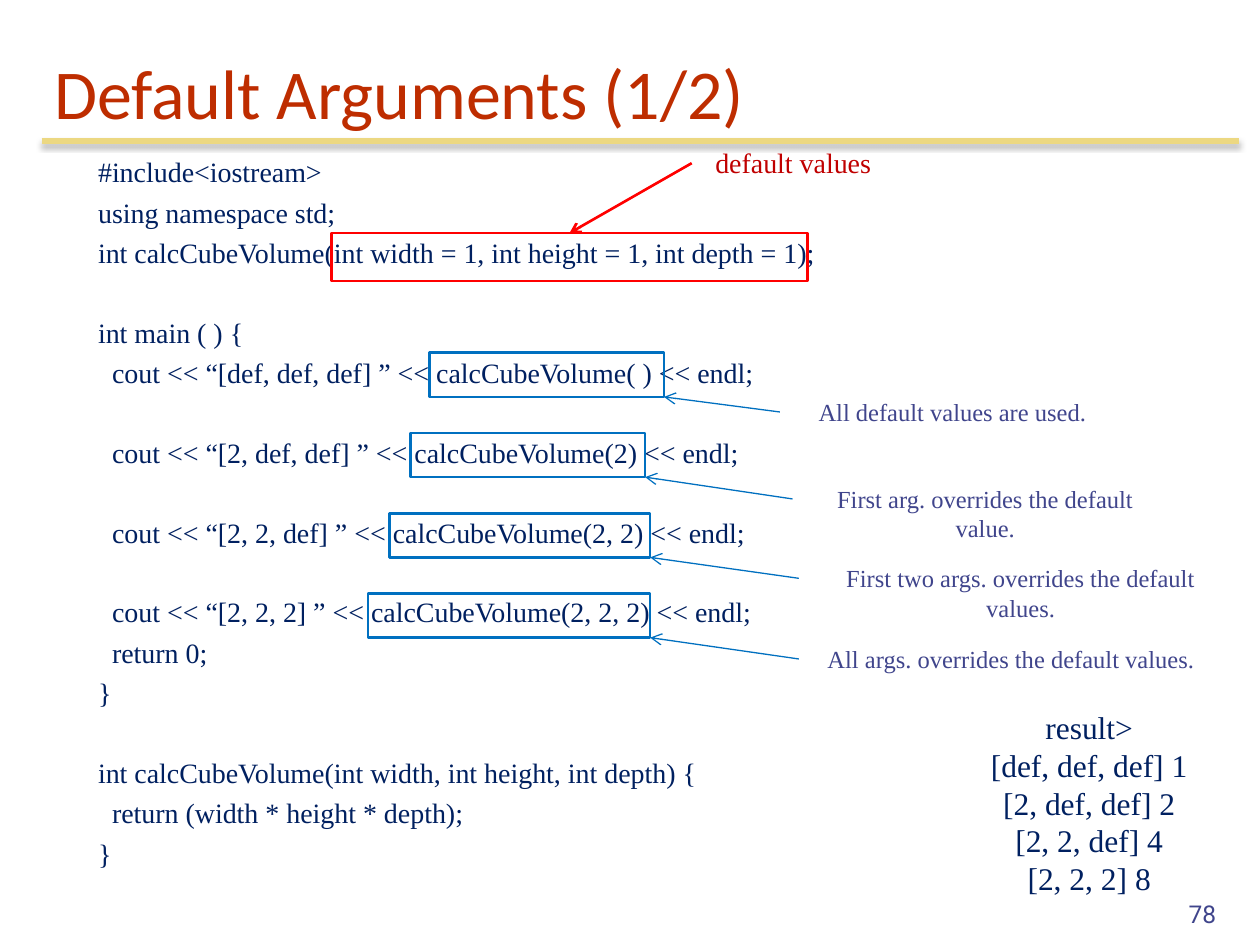
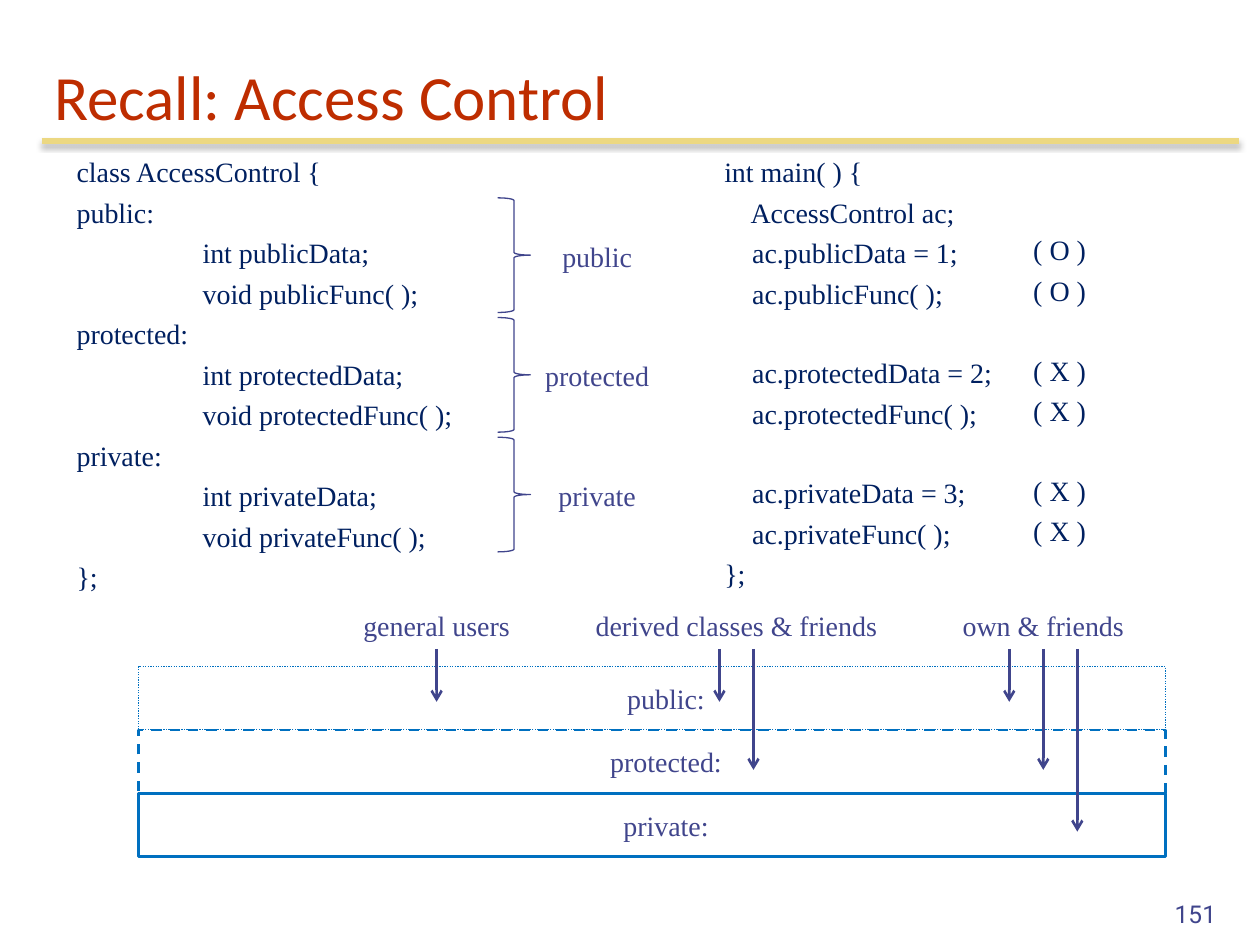
from lxml import etree
from pptx import Presentation
from pptx.dml.color import RGBColor
from pptx.enum.dml import MSO_LINE_DASH_STYLE as DASH
from pptx.enum.shapes import MSO_CONNECTOR, MSO_SHAPE as SHAPE
from pptx.enum.text import MSO_ANCHOR as ANCHOR, MSO_AUTO_SIZE, PP_ALIGN as ALIGN
from pptx.oxml.ns import qn
from pptx.util import Inches, Pt

NAVY = RGBColor(0x00, 0x20, 0x60)
INDIGO = RGBColor(0x40, 0x45, 0x8C)
BLUE = RGBColor(0x00, 0x70, 0xC0)
RED = RGBColor(0xFF, 0x00, 0x00)
DARK_RED = RGBColor(0xC0, 0x00, 0x00)
RUST = RGBColor(0xBE, 0x2D, 0x00)
GOLD = RGBColor(0xEC, 0xD8, 0x82)

SERIF = "Times New Roman"
LINE_GAP = 3.95    # points between code lines
LINE_PITCH = 22.35  # points from one code line to the next

CUBE_CODE = """#include<iostream>
using namespace std;
int calcCubeVolume(int width = 1, int height = 1, int depth = 1);

int main ( ) {
  cout << “[def, def, def] ” << calcCubeVolume( ) << endl;

  cout << “[2, def, def] ” << calcCubeVolume(2) << endl;

  cout << “[2, 2, def] ” << calcCubeVolume(2, 2) << endl;

  cout << “[2, 2, 2] ” << calcCubeVolume(2, 2, 2) << endl;
  return 0;
}

int calcCubeVolume(int width, int height, int depth) {
  return (width * height * depth);
}"""

RESULT = """result>
[def, def, def] 1
[2, def, def] 2
[2, 2, def] 4
[2, 2, 2] 8"""

CLASS_CODE = """class AccessControl {
public:
\tint publicData;
\tvoid publicFunc( );
protected:
\tint protectedData;
\tvoid protectedFunc( );
private:
\tint privateData;
\tvoid privateFunc( );
};"""

MAIN_CODE = """int main( ) {
    AccessControl ac;
    ac.publicData = 1;
    ac.publicFunc( );

    ac.protectedData = 2;
    ac.protectedFunc( );

    ac.privateData = 3;
    ac.privateFunc( );
};"""

ACCESS_MARKS = """( O )
( O )

( X )
( X )

( X )
( X )"""


def inches(*lengths):
    return [Inches(length) for length in lengths]


def add_run(paragraph, text, size, color, font=SERIF):
    run = paragraph.add_run()
    run.text = text
    run.font.name = font
    run.font.size = Pt(size)
    run.font.color.rgb = color


def add_text(slide, box, text, size=16, color=INDIGO, align=ALIGN.CENTER,
             gap=0, font=SERIF, anchor=ANCHOR.TOP):
    """Text box; an empty line in text becomes space before the next line."""
    text_box = slide.shapes.add_textbox(*inches(*box))
    frame = text_box.text_frame
    frame.word_wrap = True
    frame.vertical_anchor = anchor
    before = 0
    for index, line in enumerate(text.split("\n")):
        if not line:
            before += LINE_PITCH
            continue
        paragraph = frame.add_paragraph() if index else frame.paragraphs[0]
        if "\t" in line:
            tabs = etree.SubElement(paragraph._p.get_or_add_pPr(), qn("a:tabLst"))
            etree.SubElement(tabs, qn("a:tab"), pos=str(Inches(1)), algn="l")
        paragraph.alignment = align
        paragraph.space_before = Pt(before)
        add_run(paragraph, line, size, color, font)
        before = gap
    return text_box


def add_code(slide, box, code, align=ALIGN.LEFT):
    return add_text(slide, box, code, color=NAVY, align=align, gap=LINE_GAP)


def add_outline(slide, kind, box, color, width=1.5, dash=None):
    outline = slide.shapes.add_shape(kind, *inches(*box))
    outline.shadow.inherit = False
    outline.fill.background()
    outline.line.color.rgb = color
    outline.line.width = Pt(width)
    if dash:
        outline.line.dash_style = dash
    return outline


def add_line(slide, start, end, color, width):
    """Straight line and its empty effect list."""
    line = slide.shapes.add_connector(MSO_CONNECTOR.STRAIGHT, *inches(*start, *end))
    line.line.color.rgb = color
    line.line.width = Pt(width)
    effects = etree.SubElement(line.element.spPr, qn("a:effectLst"))
    return line, effects


def add_arrow(slide, start, end, color, width):
    arrow, _ = add_line(slide, start, end, color, width)
    outline = arrow.element.spPr.find(qn("a:ln"))
    etree.SubElement(outline, qn("a:tailEnd"), type="arrow")
    return arrow


def add_title_rule(slide):
    _, effects = add_line(slide, (0.33, 1.12), (9.83, 1.12), GOLD, 3)
    shadow = etree.SubElement(effects, qn("a:outerShdw"), blurRad=str(Pt(3.1)),
                              dist=str(Pt(1.8)), dir="5400000", rotWithShape="0")
    black = etree.SubElement(shadow, qn("a:srgbClr"), val="000000")
    etree.SubElement(black, qn("a:alpha"), val="35000")


def start_slide(prs, heading, size, number):
    """Title, gold rule and page number."""
    slide = prs.slides.add_slide(prs.slide_layouts[5])
    add_title_rule(slide)
    title = slide.shapes.title
    title.left, title.top, title.width, title.height = inches(0.33, 0.33, 9.5, 0.78)
    frame = title.text_frame
    frame.auto_size = MSO_AUTO_SIZE.NONE
    frame.vertical_anchor = ANCHOR.BOTTOM
    frame.paragraphs[0].alignment = ALIGN.LEFT
    add_run(frame.paragraphs[0], heading, size, RUST, "Calibri")
    add_text(slide, (7.67, 6.92, 2.08, 0.5), number, 14, align=ALIGN.RIGHT,
             font="Roboto", anchor=ANCHOR.BOTTOM)
    return slide


def add_call_note(slide, call, note, text):
    """Framed call with an arrow from its note to the frame's lower right corner."""
    left, top, width, height = call
    add_outline(slide, SHAPE.RECTANGLE, call, BLUE)
    note_box = add_text(slide, (*note, 0.34), text, 14)
    arrow = add_arrow(slide, note[:2], (left + width, top + height), BLUE, 0.75)
    arrow.begin_connect(note_box, 1)


def build_default_arguments(prs):
    slide = start_slide(prs, "Default Arguments (1/2)", 40, "78")
    add_code(slide, (0.68, 1.18, 7.05, 5.86), CUBE_CODE)
    add_text(slide, (7.58, 5.57, 2.13, 1.62), RESULT, 18, NAVY)

    # Default values in the declaration
    defaults_note = add_text(slide, (5.49, 1.11, 1.61, 0.37), "default values",
                             color=DARK_RED)
    defaults = add_outline(slide, SHAPE.RECTANGLE, (2.63, 1.85, 3.78, 0.38), RED)
    arrow = add_arrow(slide, (5.49, 1.3), (4.52, 1.85), RED, 1.5)
    arrow.begin_connect(defaults_note, 1)
    arrow.end_connect(defaults, 0)

    # Calls: frame left and width, note left, top and width
    calls = [
        (3.41, 1.86, (6.19, 3.1, 2.74), "All default values are used."),
        (3.26, 1.86, (6.29, 3.79, 3.06), "First arg. overrides the default value."),
        (3.09, 2.07, (6.34, 4.42, 3.52),
         "First two args. overrides the default values."),
        (2.92, 2.24, (6.34, 5.06, 3.37), "All args. overrides the default values."),
    ]
    for row, (left, width, note, text) in enumerate(calls):
        add_call_note(slide, (left, 2.8 + 0.637 * row, width, 0.35), note, text)


def build_access_control(prs):
    slide = start_slide(prs, "Recall: Access Control", 36, "151")
    add_code(slide, (0.51, 1.18, 3.4, 3.6), CLASS_CODE)
    add_code(slide, (5.65, 1.18, 2.4, 3.6), MAIN_CODE)
    add_code(slide, (7.91, 1.8, 1, 2.66), ACCESS_MARKS, ALIGN.CENTER)

    # Braces beside the class, and one band for each access level
    levels = [("public", 0.75, DASH.ROUND_DOT), ("protected", 1.5, DASH.DASH),
              ("private", 1.5, None)]
    for row, (level, width, dash) in enumerate(levels):
        brace_top = 1.57 + 0.95 * row
        add_outline(slide, SHAPE.RIGHT_BRACE, (3.95, brace_top, 0.26, 0.91),
                    INDIGO, 0.75)
        add_text(slide, (4.21, brace_top + 0.28, 1.06, 0.37), level)

        band = add_outline(slide, SHAPE.RECTANGLE, (1.1, 5.29 + 0.505 * row, 8.15, 0.5),
                           BLUE, width, dash)
        frame = band.text_frame
        frame.margin_left = Inches(0.32)
        frame.vertical_anchor = ANCHOR.MIDDLE
        frame.paragraphs[0].alignment = ALIGN.CENTER
        add_run(frame.paragraphs[0], level + ":", 16, INDIGO)

    # Who reaches which bands: one arrow for each band reached
    reach_ends = [5.57, 6.11, 6.6]
    users = [("general users", 2.59, 1.75), ("derived classes & friends", 4.38, 2.93),
             ("own & friends", 7.49, 1.58)]
    for reach, (user, left, width) in enumerate(users):
        user_box = add_text(slide, (left, 4.78, width, 0.37), user)
        for band_index in range(reach + 1):
            offset = band_index - reach / 2
            x = left + width / 2 + 0.27 * offset
            arrow = add_arrow(slide, (x, 5.15), (x, reach_ends[band_index]), INDIGO, 1.5)
            if offset == 0:
                arrow.begin_connect(user_box, 2)


def main():
    prs = Presentation()
    prs.slide_width, prs.slide_height = inches(10, 7.5)
    build_default_arguments(prs)
    build_access_control(prs)
    prs.save("out.pptx")


if __name__ == "__main__":
    main()
